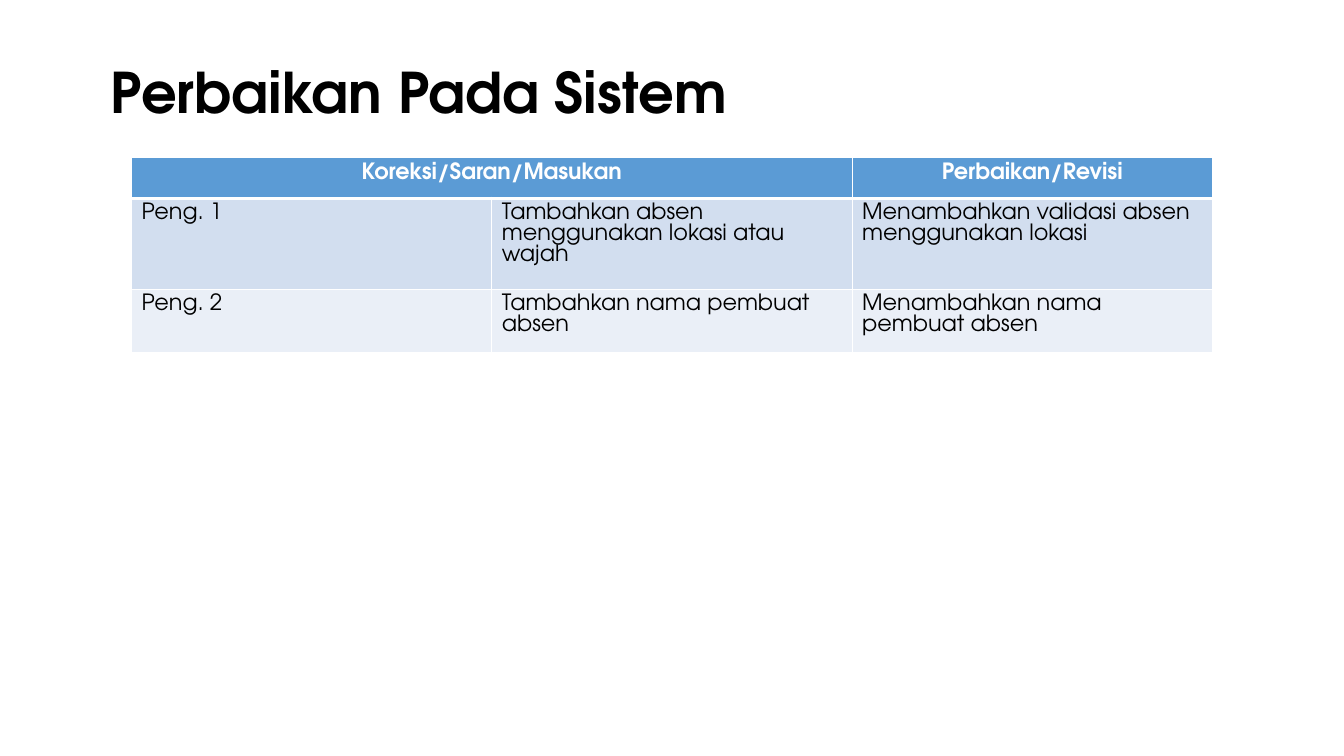
from lxml import etree
from pptx import Presentation
from pptx.dml.color import RGBColor
from pptx.enum.text import MSO_ANCHOR, MSO_AUTO_SIZE, PP_ALIGN
from pptx.oxml.ns import qn
from pptx.util import Pt

LEFT, CENTER = PP_ALIGN.LEFT, PP_ALIGN.CENTER
TOP = MSO_ANCHOR.TOP
GROW = MSO_AUTO_SIZE.SHAPE_TO_FIT_TEXT

# Content
TITLE = "Perbaikan Pada Sistem"
HEADER = ("Koreksi/Saran/Masukan", "", "Perbaikan/Revisi")
REVISIONS = [
    ("Peng. 1", "Tambahkan absen menggunakan lokasi atau wajah",
     "Menambahkan validasi absen menggunakan lokasi"),
    ("Peng. 2", "Tambahkan nama pembuat absen",
     "Menambahkan nama pembuat absen"),
]

# Style and measures, in points
FONT = "TeX Gyre Adventor"
BLACK, WHITE = "000000", "FFFFFF"
ROW_FILLS = ("5B9BD5", "D2DEEF", "EAEFF7")
ROW_HEIGHTS = (29.2, 64.8, 45.4)
COLUMN_WIDTH = 257.4
TABLE_LEFT, TABLE_TOP = 93.9, 112.5
THIN, THICK = 1, 3


def rgb(hex_color):
    return RGBColor.from_string(hex_color)


def write(frame, text, size, color, bold, align):
    paragraph = frame.paragraphs[0]
    paragraph.alignment = align
    run = paragraph.add_run()
    run.text = text
    run.font.name = FONT
    run.font.size = Pt(size)
    run.font.bold = bold
    run.font.color.rgb = rgb(color)


def set_borders(cell, top, bottom):
    properties = cell._tc.get_or_add_tcPr()
    sides = (("a:lnL", THIN), ("a:lnR", THIN), ("a:lnT", top), ("a:lnB", bottom))
    for position, (side, width) in enumerate(sides):
        line = etree.Element(qn(side), w=str(Pt(width)))
        solid = etree.SubElement(line, qn("a:solidFill"))
        etree.SubElement(solid, qn("a:srgbClr"), val=WHITE)
        properties.insert(position, line)


prs = Presentation()
prs.slide_width, prs.slide_height = Pt(960), Pt(540)
slide = prs.slides.add_slide(prs.slide_layouts[5])

# Title
title = slide.shapes.title
title.left, title.top, title.width, title.height = Pt(72), Pt(37.4), Pt(849), Pt(55.4)
title.text_frame.word_wrap = True
title.text_frame.auto_size = GROW
title.text_frame.vertical_anchor = TOP
write(title.text_frame, TITLE, 40, BLACK, True, LEFT)

# Revision table
rows = [HEADER, *REVISIONS]
table = slide.shapes.add_table(
    len(rows), len(HEADER), Pt(TABLE_LEFT), Pt(TABLE_TOP),
    Pt(COLUMN_WIDTH * len(HEADER)), Pt(sum(ROW_HEIGHTS))).table
for column in table.columns:
    column.width = Pt(COLUMN_WIDTH)

for r, (texts, fill, height) in enumerate(zip(rows, ROW_FILLS, ROW_HEIGHTS)):
    table.rows[r].height = Pt(height)
    is_header = r == 0
    for c, text in enumerate(texts):
        cell = table.cell(r, c)
        cell.fill.solid()
        cell.fill.fore_color.rgb = rgb(fill)
        set_borders(cell, THICK if r == 1 else THIN, THICK if is_header else THIN)
        if text:
            write(cell.text_frame, text, 16,
                  WHITE if is_header else BLACK, is_header,
                  CENTER if is_header else LEFT)

# The first heading covers the examiner and the suggestion columns
table.cell(0, 0).merge(table.cell(0, 1))

prs.save("out.pptx")
